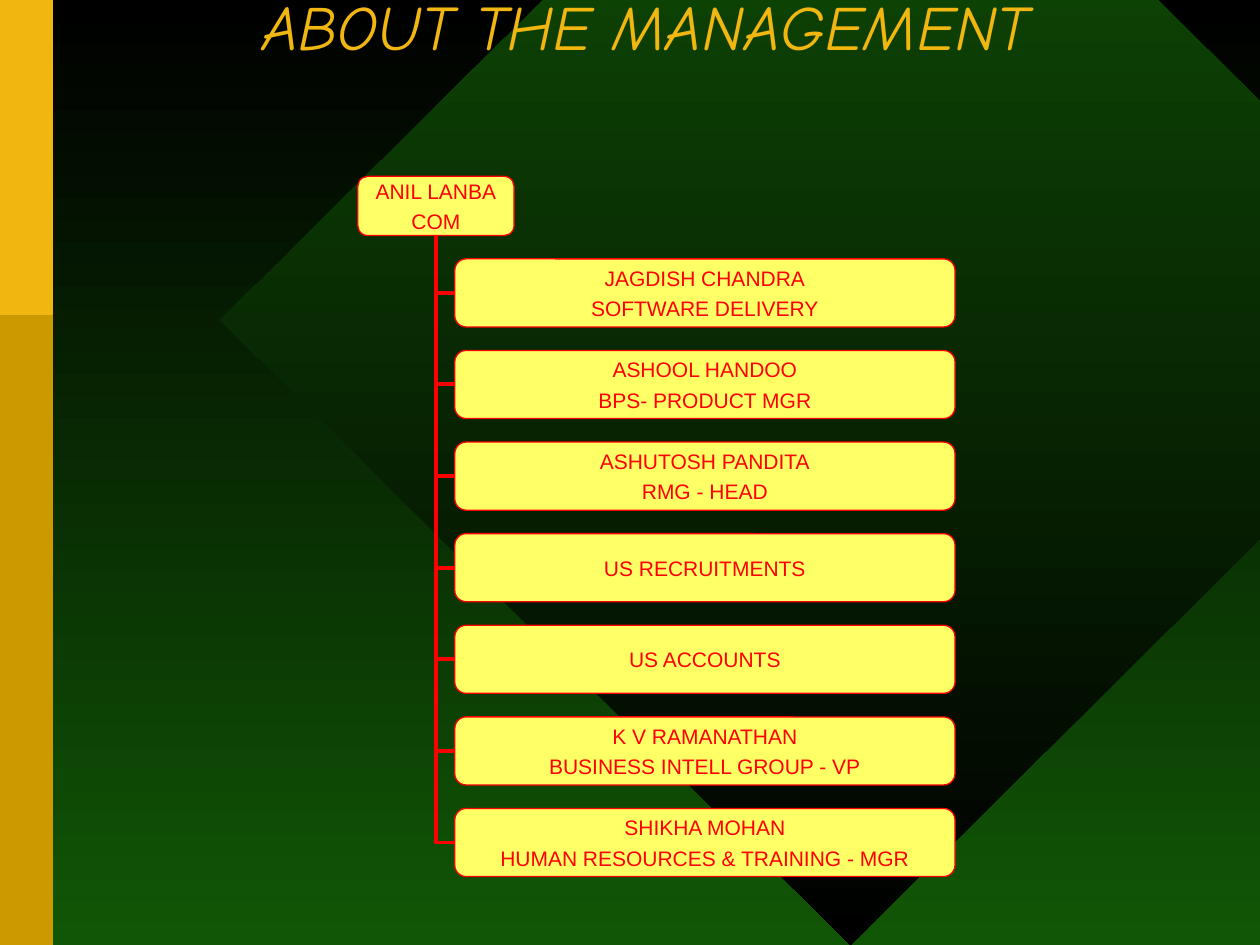
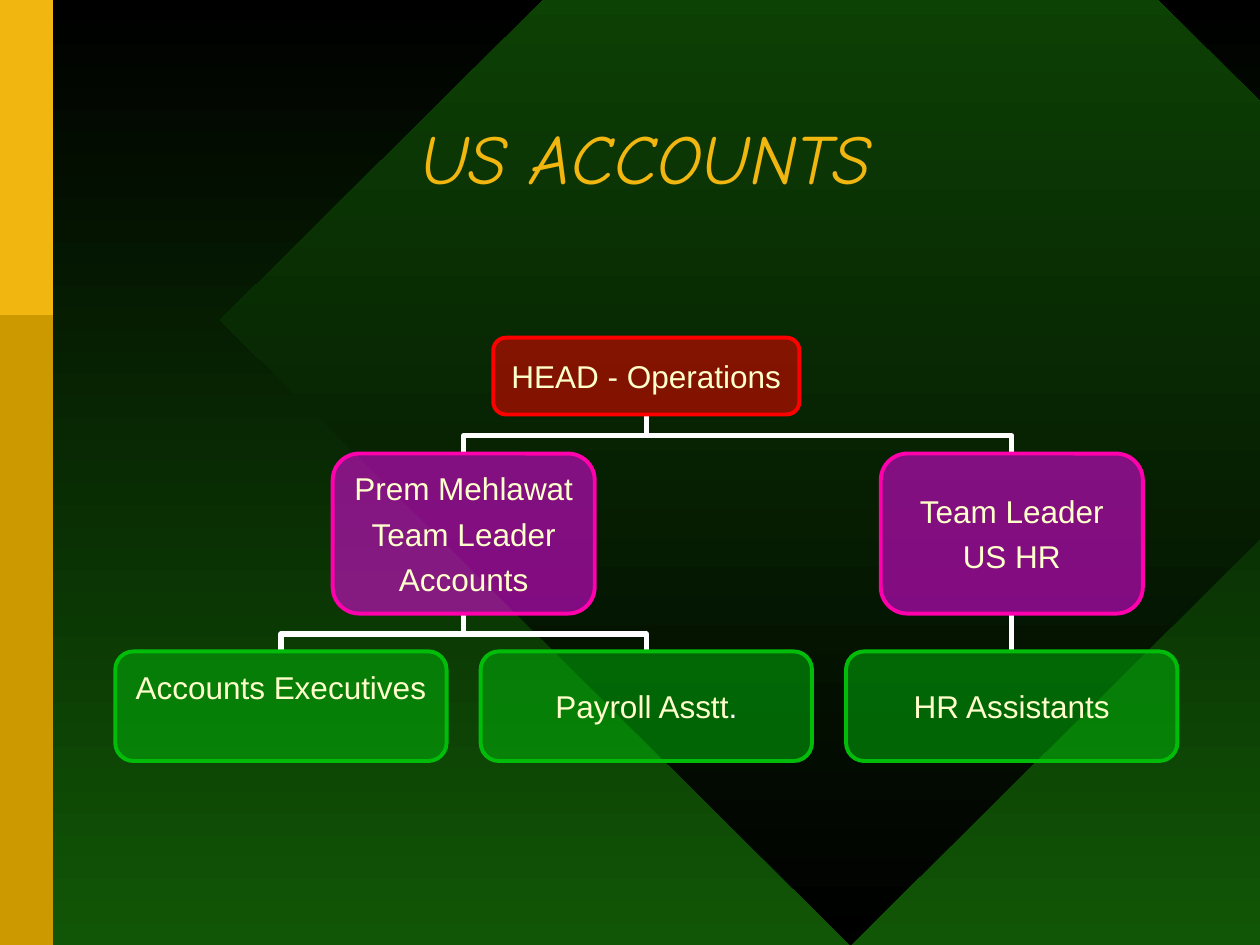
from lxml.etree import SubElement
from pptx import Presentation
from pptx.dml.color import RGBColor
from pptx.enum.shapes import MSO_CONNECTOR, MSO_SHAPE
from pptx.enum.text import MSO_ANCHOR, MSO_AUTO_SIZE, PP_ALIGN
from pptx.oxml.ns import qn
from pptx.util import Inches, Pt

COLORS = {
    "black": "000000", "forest": "115606", "ochre": "CC9900", "gold": "F1B60F",
    "red": "FF0000", "lemon": "FFFF66", "cream": "FFFFCC", "white": "FFFFFF",
    "violet": "FF00FF", "pink": "FF00AD", "green": "01BD0A",
}
COLS, ROWS = 100, 75
TOP, LEFT, BOTTOM = 0, 1, 2  # connection sites of a box

TITLE = {"size": Pt(36), "name": "Comic Neue", "italic": True}
SMALL = {"size": Pt(12), "name": "Arial"}
LARGE = {"size": Pt(18), "name": "Arial"}
STAFF = {"fill": "lemon", "line": "red", "width": 0.75, "ink": "red",
         "font": SMALL, "gap": 3, "pad": (0.02, 0.01)}
TEAM = {"width": 2.25, "ink": "cream", "font": LARGE, "gap": 4.5,
        "pad": (0.1, 0.05), "alpha": 50}
HEAD = {**TEAM, "fill": "red", "line": "red"}
LEAD = {**TEAM, "fill": "violet", "line": "pink"}
CREW = {**TEAM, "fill": "green", "line": "green"}


def apply(target, values):
    for name, value in values.items():
        setattr(target, name, value)


def rgb(name):
    return RGBColor.from_string(COLORS[name])


def blend(fill, first, last):
    """Fill from top to bottom with two colours."""
    fill.gradient()
    fill.gradient_angle = 270
    for stop, name in zip(fill.gradient_stops, (first, last)):
        stop.color.rgb = rgb(name)


class Deck:
    """Holds the style and the current slide; lengths are grid cells."""

    def __init__(self):
        self.prs = Presentation()
        self.prs.slide_width, self.prs.slide_height = Inches(10), Inches(7.5)
        self.slide = None

    def place(self, x, y, w, h):
        across, down = self.prs.slide_width / COLS, self.prs.slide_height / ROWS
        return [round(v) for v in (x * across, y * down, w * across, h * down)]

    def shape(self, kind, *cells):
        shape = self.slide.shapes.add_shape(kind, *self.place(*cells))
        shape.shadow.inherit = False
        return shape

    def master(self):
        """Move the backdrop shapes from the first slide to the master."""
        master = self.prs.slide_master
        blend(master.background.fill, "black", "forest")
        diamond = self.shape(MSO_SHAPE.DIAMOND, 17.5, -24.2, 100, 99.2)
        blend(diamond.fill, "forest", "black")
        parts = [diamond]
        for height, name in ((ROWS, "ochre"), (25, "gold")):
            band = self.shape(MSO_SHAPE.RECTANGLE, 0, 0, 4.2, height)
            band.fill.solid()
            band.fill.fore_color.rgb = rgb(name)
            parts.append(band)
        for spot, part in enumerate(parts, 2):
            part.line.fill.background()
            master.element.cSld.spTree.insert(spot, part.element)

    def page(self, text, y, h, size):
        first = self.slide is None
        self.slide = self.prs.slides.add_slide(self.prs.slide_layouts[5])
        if first:
            self.master()
        title = self.slide.shapes.title
        apply(title, dict(zip(("left", "top", "width", "height"),
                              self.place(10, y, 82.5, h))))
        apply(title.text_frame, {"auto_size": MSO_AUTO_SIZE.NONE, "word_wrap": True,
                                 "vertical_anchor": MSO_ANCHOR.MIDDLE})
        para = title.text_frame.paragraphs[0]
        apply(para, {"alignment": PP_ALIGN.CENTER, "line_spacing": 0.85})
        self.run(para, text, {**TITLE, "size": Pt(size)}, "gold")

    def run(self, para, text, font, ink):
        run = para.add_run()
        run.text = text
        apply(run.font, font)
        run.font.color.rgb = rgb(ink)

    def box(self, mid, y, w, h, lines, style):
        """Draw a rounded box centred on column mid."""
        box = self.shape(MSO_SHAPE.ROUNDED_RECTANGLE, mid - w / 2, y, w, h)
        box.fill.solid()
        box.fill.fore_color.rgb = rgb(style["fill"])
        if "alpha" in style:
            tint = box.fill._xPr.find(".//" + qn("a:srgbClr"))
            SubElement(tint, qn("a:alpha"), val=str(style["alpha"] * 1000))
        box.line.color.rgb = rgb(style["line"])
        box.line.width = Pt(style["width"])
        side, edge = map(Inches, style["pad"])
        frame = box.text_frame
        apply(frame, {"margin_left": side, "margin_right": side, "margin_top": edge,
                      "margin_bottom": edge, "word_wrap": False,
                      "vertical_anchor": MSO_ANCHOR.MIDDLE})
        for i, text in enumerate(lines):
            para = frame.add_paragraph() if i else frame.paragraphs[0]
            para.alignment = PP_ALIGN.CENTER
            para.space_before = Pt(style["gap"] if i else 0)
            self.run(para, text, style["font"], style["ink"])
        return box

    def link(self, kind, child, site, boss, ink, width):
        """Join a child to the bottom of its boss, behind the boxes."""
        line = self.slide.shapes.add_connector(kind, 0, 0, 0, 0)
        line.begin_connect(child, site)
        line.end_connect(boss, BOTTOM)
        line.line.color.rgb = rgb(ink)
        line.line.width = Pt(width)
        SubElement(line.element.spPr, qn("a:effectLst"))
        self.slide.shapes.title.element.addnext(line.element)
        return line

    def branch(self, child, boss):
        """Leave the child sideways, then climb to the boss."""
        line = self.link(MSO_CONNECTOR.ELBOW, child, LEFT, boss, "red", 2.25)
        line.element.spPr.find(qn("a:prstGeom")).set("prst", "bentConnector2")

    def drop(self, child, boss):
        """Climb from the child, cross over, then climb to the boss."""
        shift = child.left + child.width // 2 - boss.left - boss.width // 2
        bent = abs(shift) > Inches(0.01)
        kind = MSO_CONNECTOR.ELBOW if bent else MSO_CONNECTOR.STRAIGHT
        line = self.link(kind, child, TOP, boss, "white", 3)
        if not bent:
            return
        x, y, w, h = line.left, line.top, line.width, line.height
        apply(line, {"left": x + (w - h) // 2, "top": y + (h - w) // 2,
                     "width": h, "height": w})
        frame = line.element.spPr.xfrm
        apply(frame, {"flipH": shift < 0, "flipV": True,
                      "rot": 270.0 if shift > 0 else 90.0})
        guides = line.element.spPr.find(".//" + qn("a:avLst"))
        SubElement(guides, qn("a:gd"), name="adj1", fmla="val 45700")


def main():
    deck = Deck()

    deck.page("ABOUT THE MANAGEMENT", 0, 5, 36)
    boss = deck.box(34.6, 14, 12.4, 4.7, ["ANIL LANBA", "COM"], STAFF)
    groups = [
        ["JAGDISH CHANDRA", "SOFTWARE DELIVERY"],
        ["ASHOOL HANDOO", "BPS- PRODUCT MGR"],
        ["ASHUTOSH PANDITA", "RMG - HEAD"],
        ["US RECRUITMENTS"],
        ["US ACCOUNTS"],
        ["K V RAMANATHAN", "BUSINESS INTELL GROUP - VP"],
        ["SHIKHA MOHAN", "HUMAN RESOURCES & TRAINING - MGR"],
    ]
    for i, lines in enumerate(groups):
        deck.branch(deck.box(55.95, 20.55 + 7.27 * i, 39.7, 5.4, lines, STAFF), boss)

    deck.page("US ACCOUNTS", 6.7, 12.5, 40)
    mids = [22.3 + 14.5 * i for i in range(5)]
    head = deck.box(mids[2], 26.8, 24.3, 6.1, ["HEAD - Operations"], HEAD)
    books = deck.box(mids[1], 36, 20.8, 12.7,
                     ["Prem Mehlawat", "Team Leader", "Accounts"], LEAD)
    people = deck.box(mids[4], 36, 20.8, 12.7, ["Team Leader", "US HR"], LEAD)
    clerks, payroll, helpers = [
        deck.box(mids[i], 51.7, 26.3, 8.7, [text], CREW)
        for i, text in ((0, "Accounts Executives"), (2, "Payroll Asstt"),
                        (4, "HR Assistants"))]
    clerks.text_frame.margin_bottom = Inches(0.36)
    deck.run(payroll.text_frame.paragraphs[0], ".", LARGE, "white")
    for child, lead in ((books, head), (people, head), (clerks, books),
                        (payroll, books), (helpers, people)):
        deck.drop(child, lead)

    deck.prs.save("out.pptx")


if __name__ == "__main__":
    main()
